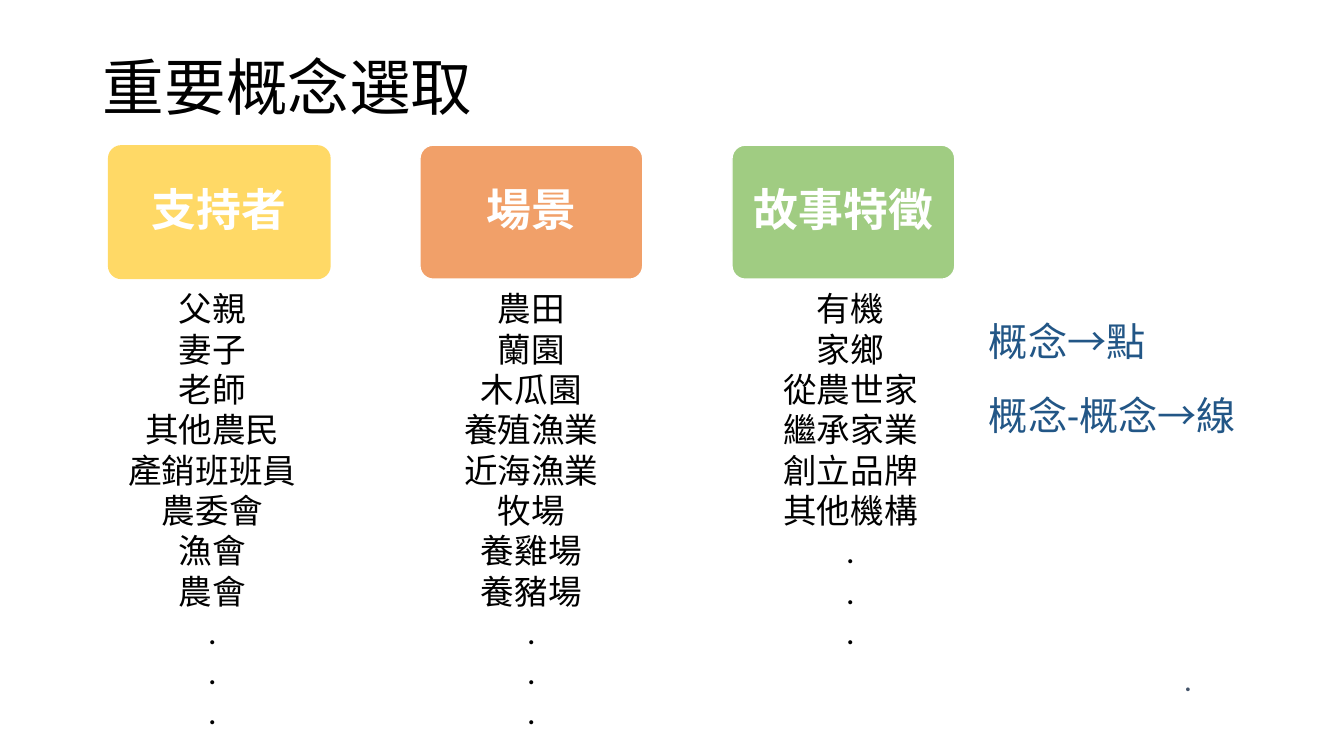
from pptx import Presentation
from pptx.dml.color import RGBColor
from pptx.enum.shapes import MSO_SHAPE
from pptx.enum.text import MSO_ANCHOR, PP_ALIGN
from pptx.util import Inches, Pt

FONT = "Calibri"
BLACK = RGBColor(0x00, 0x00, 0x00)
WHITE = RGBColor(0xFF, 0xFF, 0xFF)
YELLOW = RGBColor(0xFF, 0xD9, 0x66)
ORANGE = RGBColor(0xF1, 0xA0, 0x69)
GREEN = RGBColor(0xA0, 0xCC, 0x82)
BLUE = RGBColor(0x22, 0x56, 0x86)
SLATE = RGBColor(0x44, 0x54, 0x6A)

TITLE_FORMAT = {"size": Pt(44), "bold": False, "color": BLACK}
HEADING_FORMAT = {"size": Pt(32), "bold": True, "color": WHITE}
ITEM_FORMAT = {"size": Pt(24), "bold": False, "color": BLACK}
RULE_FORMAT = {"size": Pt(28), "bold": False, "color": BLUE}
MARK_FORMAT = {"size": Pt(18), "bold": True, "color": SLATE}

CARD_LEFT, CARD_STEP = 1.07, 3.095
LIST_LEFT, LIST_STEP = 0.88, 3.165
MORE = [".", ".", "."]
CATEGORIES = [
    ("支持者", YELLOW, None,
     ["父親", "妻子", "老師", "其他農民", "產銷班班員", "農委會", "漁會", "農會"]),
    ("場景", ORANGE, WHITE,
     ["農田", "蘭園", "木瓜園", "養殖漁業", "近海漁業", "牧場", "養雞場", "養豬場"]),
    ("故事特徵", GREEN, WHITE,
     ["有機", "家鄉", "從農世家", "繼承家業", "創立品牌", "其他機構"]),
]


def write_lines(frame, lines, text_format, align, line_spacing=1.0):
    frame.text = "\n".join(lines)
    for paragraph in frame.paragraphs:
        paragraph.alignment = align
        paragraph.line_spacing = line_spacing
        paragraph.font.name = FONT
        for name, value in text_format.items():
            if name == "color":
                paragraph.font.color.rgb = value
            else:
                setattr(paragraph.font, name, value)


def place(shape, left, top, width, height):
    shape.left, shape.top = Inches(left), Inches(top)
    shape.width, shape.height = Inches(width), Inches(height)


def add_title(slide, text):
    title = slide.shapes.title
    place(title, 0.92, 0.4, 11.5, 0.99)
    title.text_frame.vertical_anchor = MSO_ANCHOR.MIDDLE
    write_lines(title.text_frame, [text], TITLE_FORMAT, PP_ALIGN.LEFT, 0.9)


def add_text(slide, box, lines, text_format, align=PP_ALIGN.LEFT, wrap=True):
    frame = slide.shapes.add_textbox(*map(Inches, box)).text_frame
    frame.word_wrap = wrap
    write_lines(frame, lines, text_format, align)


def add_card(slide, left, heading, fill, outline):
    card = slide.shapes.add_shape(
        MSO_SHAPE.ROUNDED_RECTANGLE,
        Inches(left), Inches(1.44), Inches(2.21), Inches(1.33))
    card.adjustments[0] = 0.1
    card.shadow.inherit = False
    card.fill.solid()
    card.fill.fore_color.rgb = fill
    if outline is None:
        card.line.fill.background()
    else:
        card.line.color.rgb = outline
        card.line.width = Pt(1)
    frame = card.text_frame
    frame.word_wrap = True
    frame.vertical_anchor = MSO_ANCHOR.MIDDLE
    for side in ("left", "top", "right", "bottom"):
        setattr(frame, f"margin_{side}", Inches(0.15))
    write_lines(frame, [heading], HEADING_FORMAT, PP_ALIGN.CENTER, 0.9)


def main():
    presentation = Presentation()
    presentation.slide_width = Inches(13.33)
    presentation.slide_height = Inches(7.5)
    slide = presentation.slides.add_slide(presentation.slide_layouts[5])

    add_text(slide, (11.65, 6.56, 0.27, 0.4), ["."], MARK_FORMAT, wrap=False)
    add_title(slide, "重要概念選取")
    for column, (heading, fill, outline, examples) in enumerate(CATEGORIES):
        add_card(slide, CARD_LEFT + column * CARD_STEP, heading, fill, outline)
        lines = examples + MORE
        list_box = (LIST_LEFT + column * LIST_STEP, 2.81,
                    2.45, 0.1 + 0.44 * len(lines))
        add_text(slide, list_box, lines, ITEM_FORMAT, PP_ALIGN.CENTER)
    add_text(slide, (9.71, 3.1, 2.26, 0.57), ["概念→點"], RULE_FORMAT)
    add_text(slide, (9.71, 3.83, 3.36, 0.57), ["概念-概念→線"], RULE_FORMAT)

    presentation.save("out.pptx")


if __name__ == "__main__":
    main()
